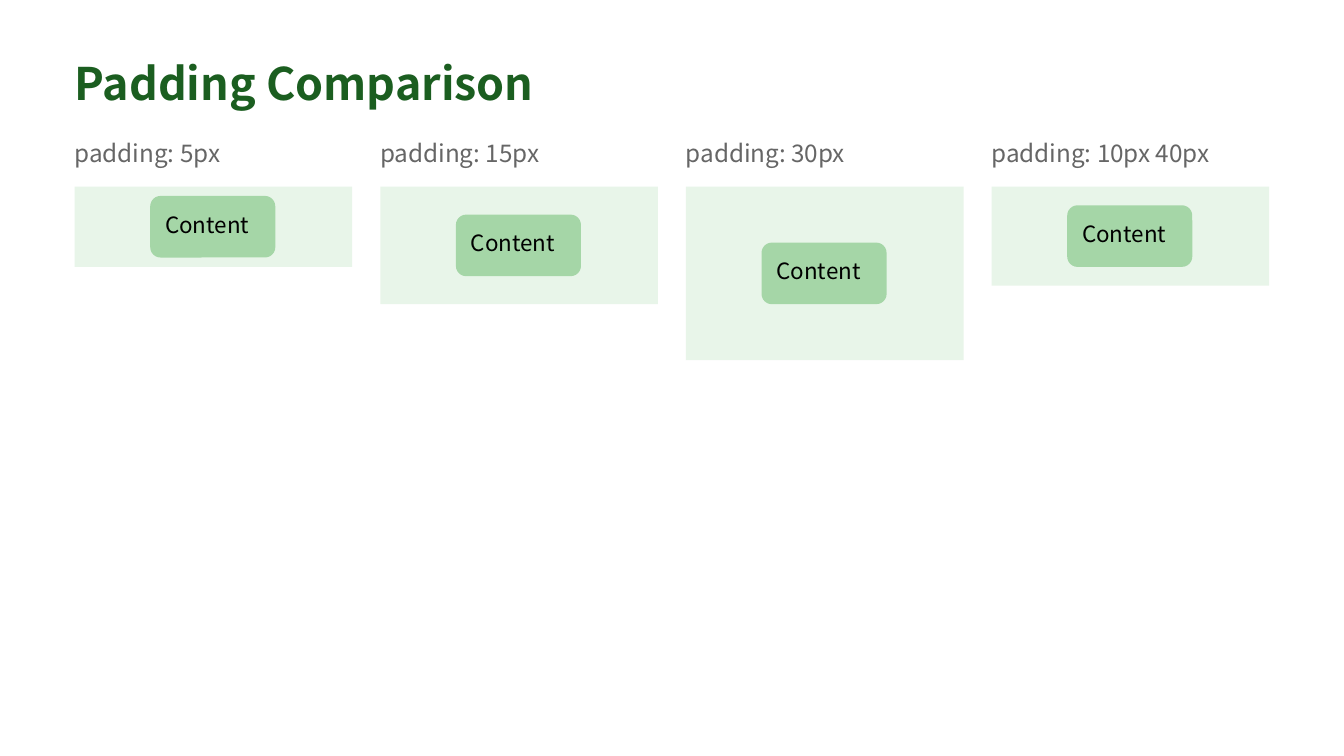
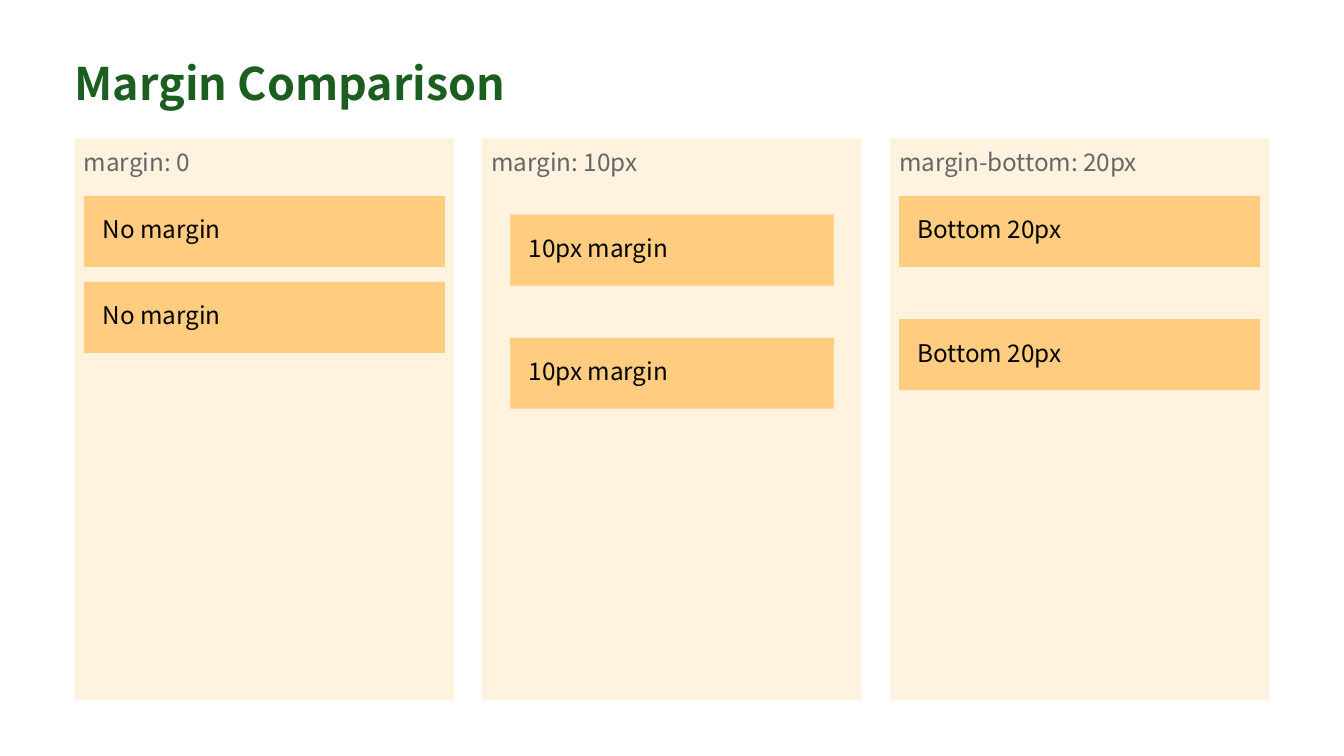
from pptx import Presentation
from pptx.dml.color import RGBColor
from pptx.enum.shapes import MSO_SHAPE as Preset
from pptx.enum.text import MSO_ANCHOR as Anchor, MSO_AUTO_SIZE as AutoSize, PP_ALIGN as Align
from pptx.util import Inches, Pt

FONT = "Noto Sans CJK SC"
COLORS = {
    "title": "1B5E20", "label": "666666", "text": "000000",
    "padding_box": "E8F5E9", "padding_content": "A5D6A7",
    "margin_box": "FFF3E0", "margin_item": "FFCC80",
}

# The page is laid out in CSS pixels, 72 to the inch.
PAGE_W, PAGE_H = 720, 405
EDGE, TITLE_TOP, BODY_TOP, GUTTER = 40, 30, 74, 15
BODY_W = PAGE_W - 2 * EDGE
LABEL_H = 19


def px(count):
    return Inches(count / 72)


def columns(count):
    """Return the left edges and the shared width of equal columns."""
    width = (BODY_W - GUTTER * (count - 1)) / count
    return [EDGE + i * (width + GUTTER) for i in range(count)], width


class Deck:
    def __init__(self):
        self.prs = Presentation()
        self.prs.slide_width, self.prs.slide_height = px(PAGE_W), px(PAGE_H)
        self.slide = None

    def new_slide(self, heading):
        self.slide = self.prs.slides.add_slide(self.prs.slide_layouts[5])
        title = self.slide.shapes.title
        title.left, title.top = px(EDGE), px(TITLE_TOP)
        title.width, title.height = px(BODY_W), px(34)
        self.set_text(title.text_frame, heading, 24, "title", bold=True)

    def set_text(self, frame, content, size, color, bold=False):
        frame.text = content
        frame.word_wrap = True
        frame.auto_size = AutoSize.NONE
        frame.vertical_anchor = Anchor.TOP
        frame.margin_left = frame.margin_top = 0
        frame.margin_right = frame.margin_bottom = 0
        paragraph = frame.paragraphs[0]
        paragraph.alignment = Align.LEFT
        font = paragraph.runs[0].font
        font.name, font.size, font.bold = FONT, Pt(size), bold
        font.color.rgb = RGBColor.from_string(COLORS[color])

    def text(self, content, left, top, width, height=LABEL_H, size=13, color="text"):
        box = self.slide.shapes.add_textbox(px(left), px(top), px(width), px(height))
        self.set_text(box.text_frame, content, size, color)

    def box(self, left, top, width, height, color, preset=Preset.RECTANGLE):
        shape = self.slide.shapes.add_shape(
            preset, px(left), px(top), px(width), px(height))
        shape.shadow.inherit = False
        shape.fill.solid()
        shape.fill.fore_color.rgb = RGBColor.from_string(COLORS[color])
        shape.line.fill.background()


def padding_slide(deck):
    deck.new_slide("Padding Comparison")
    samples = [("5px", 5), ("15px", 15), ("30px", 30), ("10px 40px", 10)]
    box_top, content_w, content_h, indent, inset = 100, 67, 33, 40, 8
    lefts, width = columns(len(samples))
    for left, (setting, padding) in zip(lefts, samples):
        content_left, content_top = left + indent + 0.5, box_top + padding
        deck.text(f"padding: {setting}", left, BODY_TOP, width, color="label")
        deck.box(left, box_top, width, content_h + 2 * padding, "padding_box")
        deck.box(content_left, content_top, content_w, content_h,
                 "padding_content", Preset.ROUNDED_RECTANGLE)
        deck.text("Content", content_left + inset, content_top + inset,
                  content_w - 14, height=18, size=12)


def margin_slide(deck):
    deck.new_slide("Margin Comparison")
    # Label, item wording, then the top, side and bottom margins.
    samples = [
        ("margin: 0", "No margin", 0, 0, 0),
        ("margin: 10px", "10px margin", 10, 10, 10),
        ("margin-bottom: 20px", "Bottom 20px", 0, 0, 20),
    ]
    panel_h, padding, items_top, item_h, item_gap, inset = 301, 5, 105, 38, 8, 10
    lefts, width = columns(len(samples))
    for left, (label, wording, above, side, below) in zip(lefts, samples):
        inner_w = width - 2 * padding
        deck.box(left, BODY_TOP, width, panel_h, "margin_box")
        deck.text(label, left + padding, BODY_TOP + padding, inner_w, color="label")
        item_left, item_w = left + padding + side, inner_w - 2 * side
        for row in range(2):
            top = items_top + above + row * (item_h + above + below + item_gap)
            deck.box(item_left, top, item_w, item_h, "margin_item")
            deck.text(wording, item_left + inset, top + inset, item_w - 2 * inset)


def main():
    deck = Deck()
    padding_slide(deck)
    margin_slide(deck)
    deck.prs.save("out.pptx")


if __name__ == "__main__":
    main()
